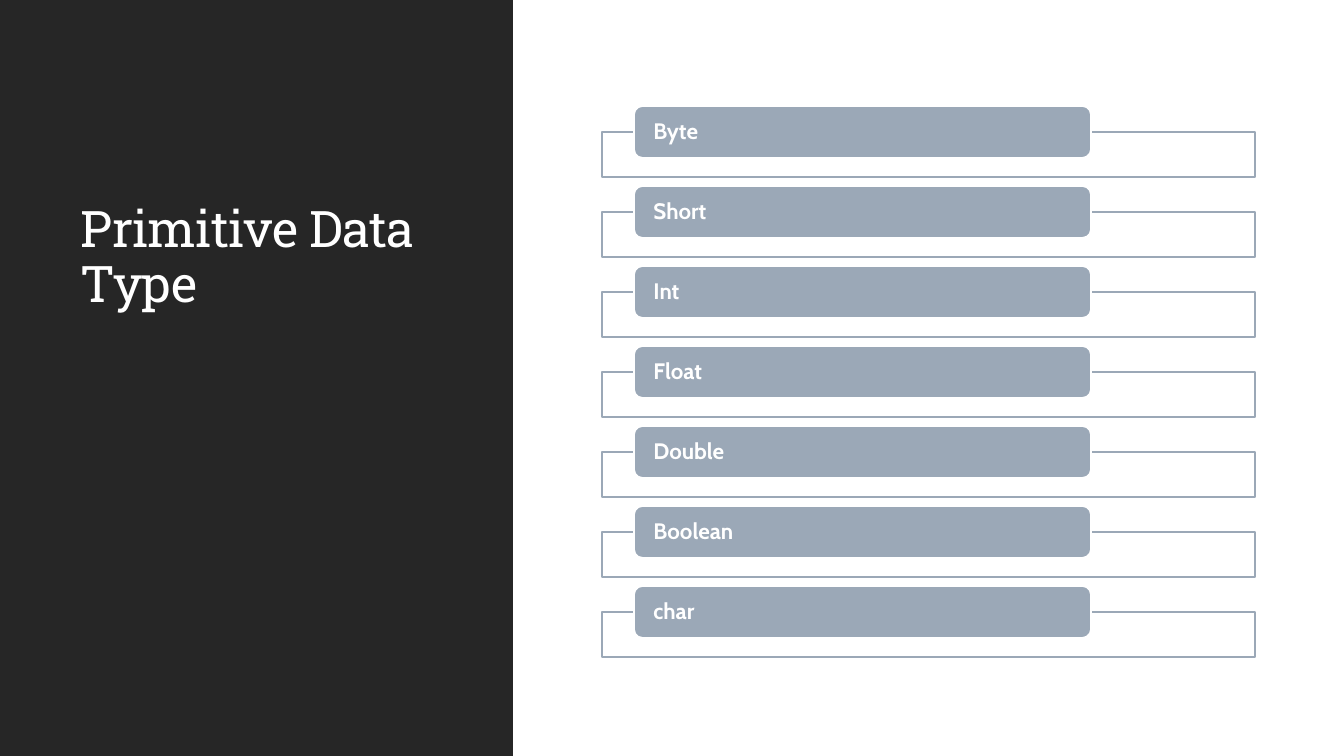
from pptx import Presentation
from pptx.dml.color import RGBColor
from pptx.enum.shapes import MSO_SHAPE
from pptx.enum.text import MSO_ANCHOR, MSO_AUTO_SIZE, PP_ALIGN
from pptx.util import Pt

RECT, ROUND = MSO_SHAPE.RECTANGLE, MSO_SHAPE.ROUNDED_RECTANGLE
MIDDLE, BOTTOM = MSO_ANCHOR.MIDDLE, MSO_ANCHOR.BOTTOM
LEFT = PP_ALIGN.LEFT
NO_FIT = MSO_AUTO_SIZE.NONE

PX = 914400 / 100.8
WIDE, HIGH = 1344, 756
WHITE, DARK, SLATE = "FFFFFF", "262626", "9BA8B7"
TYPES = ["Byte", "Short", "Int", "Float", "Double", "Boolean", "char"]


def px(n):
    return round(n * PX)


def paint(color, value):
    color.rgb = RGBColor.from_string(value)


def add_box(shapes, kind, box, fill, line=None):
    shape = shapes.add_shape(kind, *map(px, box))
    shape.shadow.inherit = False
    shape.fill.solid()
    paint(shape.fill.fore_color, fill)
    if line:
        paint(shape.line.color, line)
        shape.line.width = Pt(1.25)
    else:
        shape.line.fill.background()
    return shape


def write(shape, text, *, font, size, bold=False, anchor=MIDDLE, pad=(10, 5), track=0):
    """Fill a shape with one line of white text; track is in 1/100 pt."""
    frame = shape.text_frame
    frame.word_wrap = True
    frame.auto_size = NO_FIT
    frame.vertical_anchor = anchor
    frame.margin_left = frame.margin_right = px(pad[0])
    frame.margin_top = frame.margin_bottom = px(pad[1])
    para = frame.paragraphs[0]
    para.alignment = LEFT
    para.line_spacing = 0.9
    run = para.add_run()
    run.text = text
    run.font.name = font
    run.font.size = Pt(size)
    run.font.bold = bold
    paint(run.font.color, WHITE)
    if track:
        run.font._element.set("spc", str(track))


def add_panel(slide, box):
    x, y, w, h = box
    panel = add_box(slide.shapes, RECT, box, DARK)
    slide.shapes._spTree.insert(2, panel._element)  # behind the title
    title = slide.shapes.title
    title.left, title.top = px(x + 71), px(y + 87)
    title.width, title.height = px(w - 125), px(231)
    write(title, "Primitive Data Type", font="Roboto Slab", size=36,
          anchor=BOTTOM, track=-50)


def add_list(slide, box, names):
    """Stack one framed tab per name, evenly spaced down the box."""
    x, y, w, h = box
    group = slide.shapes.add_group_shape()
    step = h / len(names)
    for i, name in enumerate(names):
        top = y + i * step
        add_box(group.shapes, RECT, (x, top + 26, w, 45), WHITE, SLATE)
        tab = add_box(group.shapes, ROUND, (x + 32, top, w * 0.7, 52), SLATE, WHITE)
        write(tab, name, font="Cabin", size=16, bold=True, pad=(17, 0))


def main():
    deck = Presentation()
    deck.slide_width, deck.slide_height = px(WIDE), px(HIGH)
    slide = deck.slides.add_slide(deck.slide_layouts[5])
    add_panel(slide, (0, 0, 513, HIGH))
    add_list(slide, (602, 106, 653, 560), TYPES)
    deck.save("out.pptx")


if __name__ == "__main__":
    main()
